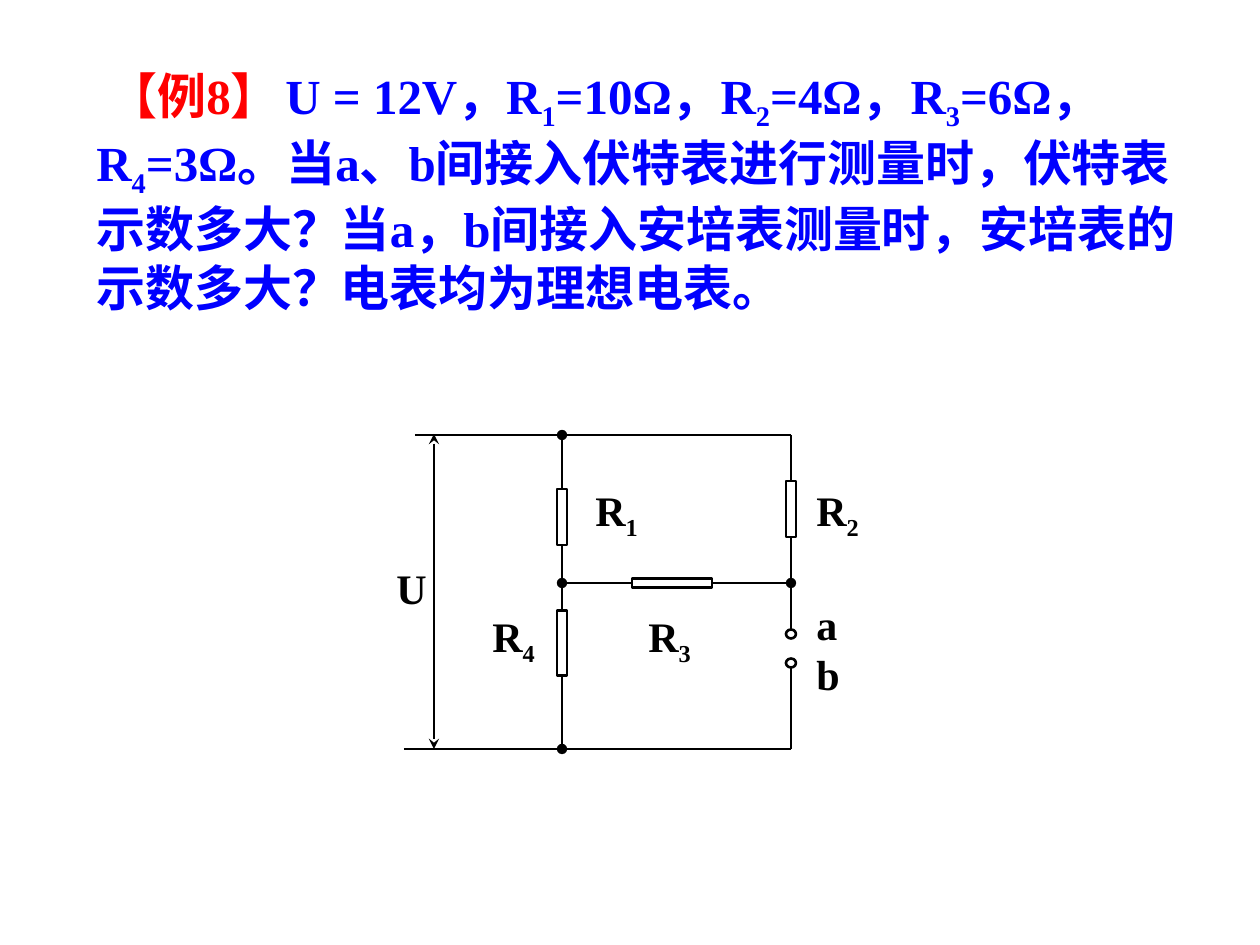
"""Build a physics example slide: a question above its bridge circuit."""
from dataclasses import dataclass

from lxml.etree import SubElement
from pptx import Presentation
from pptx.dml.color import RGBColor
from pptx.enum.shapes import MSO_CONNECTOR, MSO_SHAPE
from pptx.oxml.ns import qn
from pptx.util import Emu, Pt


@dataclass(frozen=True)
class Theme:
    font: str = "Times New Roman"
    ink: RGBColor = RGBColor(0, 0, 0)
    question: RGBColor = RGBColor(0, 0, 255)
    heading: RGBColor = RGBColor(255, 0, 0)
    question_size: Pt = Pt(28)
    label_size: Pt = Pt(24)
    wire: Pt = Pt(1.5)


THEME = Theme()
TOP, MIDDLE, BOTTOM = 435, 583, 749
LEFT, RIGHT, ARROW = 562, 791, 434

HEADING = "【例8】"
QUESTION = [
    ("U = 12V，R", "1"), ("=10Ω，R", "2"), ("=4Ω，R", "3"), ("=6Ω，R", "4"),
    ("=3Ω。当a、b间接入伏特表进行测量时，伏特表示数多大？当a，b间接入安培表测量时，"
     "安培表的示数多大？电表均为理想电表。", ""),
]
QUESTION_BOX = (84, 59, 1116, 265)
QUESTION_INDENT, QUESTION_TAB = 12, 240

RESISTORS = {
    "R1": (LEFT, 517, 10, 56),
    "R4": (LEFT, 643, 10, 65),
    "R3": (672, MIDDLE, 80, 9),
    "R2": (RIGHT, 509, 10, 56),
}
TERMINALS = [(RIGHT, 634, 10, 9), (RIGHT, 663, 10, 9)]

WIRES = [
    ((415, TOP), (RIGHT, TOP), None, None),
    ((404, BOTTOM), (RIGHT, BOTTOM), None, None),
    ((ARROW, TOP - 1), (ARROW, BOTTOM), "stealth", "stealth"),
    ((LEFT, TOP), ("R1", 0), "oval", None),
    (("R1", 2), ("R4", 0), None, None),
    (("R4", 2), (LEFT, BOTTOM), None, "oval"),
    ((LEFT, MIDDLE), ("R3", 1), "oval", None),
    (("R3", 3), (RIGHT, MIDDLE), None, "oval"),
    ((RIGHT, TOP), ("R2", 0), None, None),
    (("R2", 2), (RIGHT, MIDDLE), None, None),
    ((RIGHT, MIDDLE), (RIGHT, 630), None, None),
    ((RIGHT, 667), (RIGHT, BOTTOM), None, None),
]

LABELS = [
    ([("R", "1")], (583, 478, 72, 70)),
    ([("R", "2")], (804, 478, 72, 70)),
    ([("R", "3")], (636, 604, 84, 70)),
    ([("R", "4")], (480, 604, 68, 70)),
    ([("U", "")], (384, 556, 55, 63)),
    ([("a", ""), ("b", "")], (804, 592, 48, 113)),
]


def px(length):
    return Emu(round(length * 914400 / 126))


def add_run(paragraph, words, size, color, subscript=False):
    run = paragraph.add_run()
    run.text = words
    run.font.name, run.font.size, run.font.bold = THEME.font, size, True
    run.font.color.rgb = color
    if subscript:
        run._r.get_or_add_rPr().set("baseline", "-25000")


def add_symbols(paragraph, pairs, size, color):
    for words, index in pairs:
        add_run(paragraph, words, size, color)
        if index:
            add_run(paragraph, index, size, color, subscript=True)


def add_frame(slide, box, wrap):
    frame = slide.shapes.add_textbox(*map(px, box)).text_frame
    frame.word_wrap = wrap
    return frame


def add_question(slide):
    paragraph = add_frame(slide, QUESTION_BOX, True).paragraphs[0]
    properties = paragraph._p.get_or_add_pPr()
    properties.set("marL", "0")
    properties.set("indent", str(px(QUESTION_INDENT)))
    tabs = SubElement(properties, qn("a:tabLst"))
    SubElement(tabs, qn("a:tab"), pos=str(px(QUESTION_TAB)), algn="l")
    add_run(paragraph, HEADING + "\t", THEME.question_size, THEME.heading)
    add_symbols(paragraph, QUESTION, THEME.question_size, THEME.question)


def add_part(slide, kind, center_x, center_y, width, height):
    box = (center_x - width / 2, center_y - height / 2, width, height)
    part = slide.shapes.add_shape(kind, *map(px, box))
    part.shadow.inherit = False
    part.fill.background()
    part.line.color.rgb, part.line.width = THEME.ink, THEME.wire
    return part


def add_wire(slide, resistors, start, end, head, tail):
    joints = [(0, 0) if point[0] in resistors else point for point in (start, end)]
    wire = slide.shapes.add_connector(
        MSO_CONNECTOR.STRAIGHT, *(px(value) for joint in joints for value in joint))
    for point, connect in ((start, wire.begin_connect), (end, wire.end_connect)):
        if point[0] in resistors:
            connect(resistors[point[0]], point[1])
    wire.line.color.rgb, wire.line.width = THEME.ink, THEME.wire
    outline = wire.line._get_or_add_ln()
    for tag, mark in (("a:headEnd", head), ("a:tailEnd", tail)):
        if mark:
            SubElement(outline, qn(tag), type=mark)
    SubElement(wire._element.spPr, qn("a:effectLst"))


def add_label(slide, symbols, box):
    frame = add_frame(slide, box, False)
    for number, symbol in enumerate(symbols):
        paragraph = frame.add_paragraph() if number else frame.paragraphs[0]
        add_symbols(paragraph, [symbol], THEME.label_size, THEME.ink)


def main():
    deck = Presentation()
    deck.slide_width, deck.slide_height = px(1260), px(945)
    slide = deck.slides.add_slide(deck.slide_layouts[6])
    add_question(slide)
    resistors = {name: add_part(slide, MSO_SHAPE.RECTANGLE, *place)
                 for name, place in RESISTORS.items()}
    for place in TERMINALS:
        add_part(slide, MSO_SHAPE.OVAL, *place)
    for wire in WIRES:
        add_wire(slide, resistors, *wire)
    for symbols, box in LABELS:
        add_label(slide, symbols, box)
    deck.save("out.pptx")


if __name__ == "__main__":
    main()
